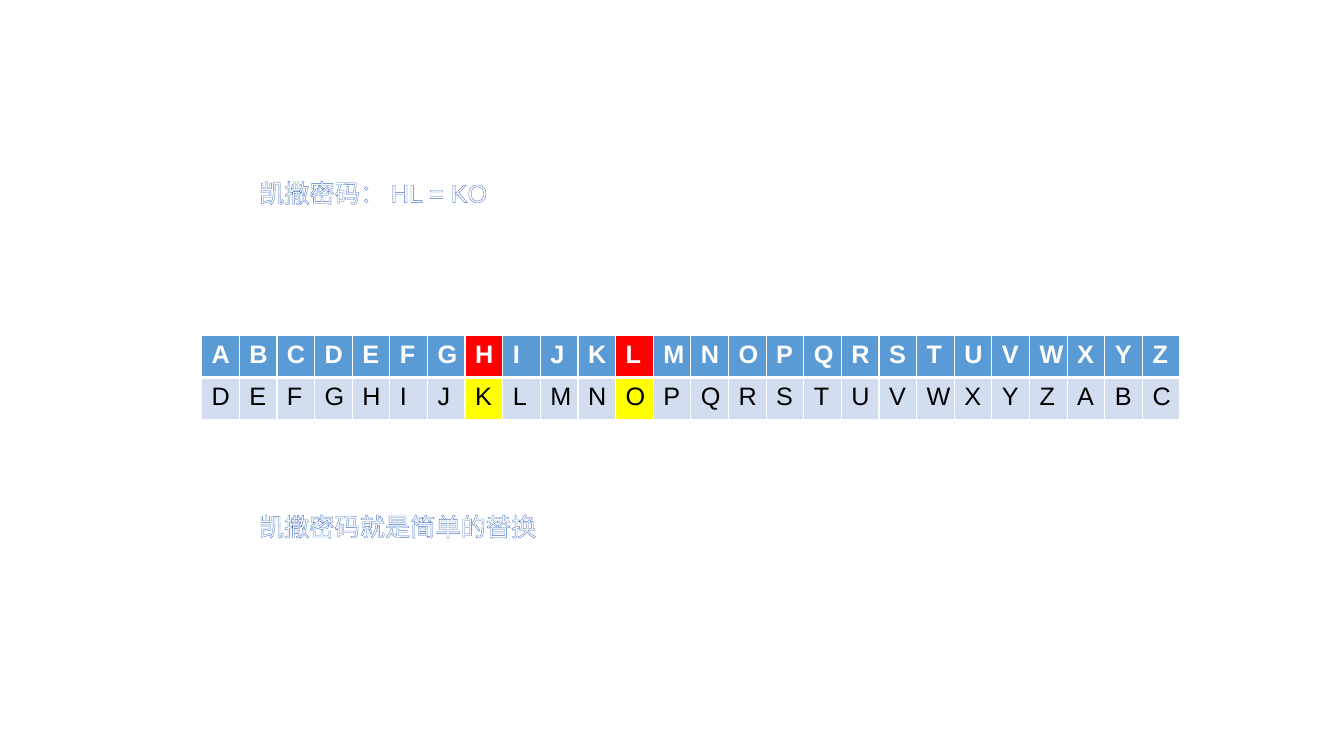
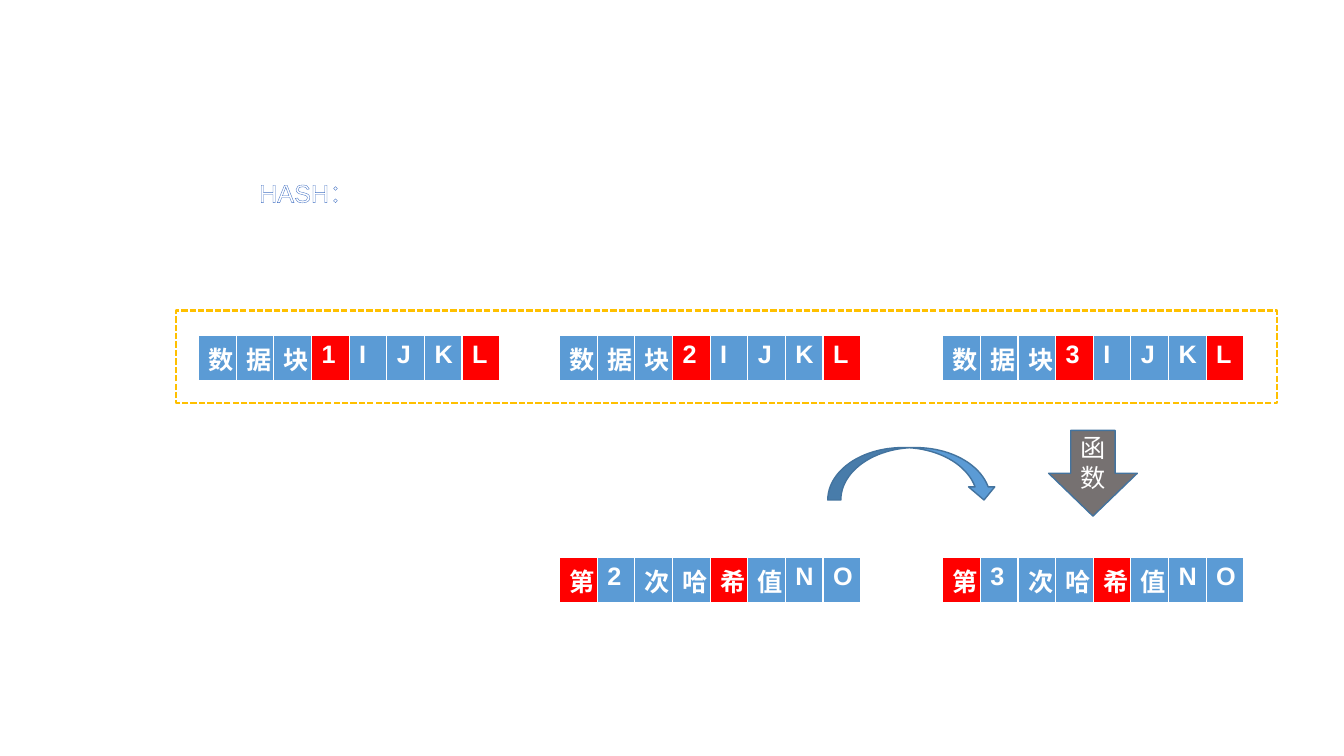
from lxml.etree import SubElement
from pptx import Presentation
from pptx.dml.color import RGBColor
from pptx.enum.dml import MSO_LINE
from pptx.enum.shapes import MSO_SHAPE
from pptx.enum.text import MSO_ANCHOR, MSO_AUTO_SIZE, PP_ALIGN
from pptx.oxml import parse_xml
from pptx.oxml.ns import nsdecls, qn
from pptx.util import Emu, Pt

WHITE = RGBColor(0xFF, 0xFF, 0xFF)
BLACK = RGBColor(0x00, 0x00, 0x00)
BLUE = RGBColor(0x5B, 0x9B, 0xD5)
PALE = RGBColor(0xD2, 0xDE, 0xEF)
RED = RGBColor(0xFF, 0x00, 0x00)
YELLOW = RGBColor(0xFF, 0xFF, 0x00)
GOLD = RGBColor(0xFF, 0xC0, 0x00)
GRAY = RGBColor(0x76, 0x71, 0x71)
EDGE = RGBColor(0x43, 0x73, 0x9E)
OUTLINE = RGBColor(0x44, 0x72, 0xC4)
FONT = "Arial"

ALPHABET = "ABCDEFGHIJKLMNOPQRSTUVWXYZ"
SHIFT = 3
SECRET = "HL"
CAESAR_TITLE = "凯撒密码： HL = KO"
CAESAR_NOTE = "凯撒密码就是简单的替换"
HASH_TITLE = "HASH："
FUNCTION = "函数"
BLOCK_TOP, HASH_TOP = 333, 553
STRIPS = [
    (197, BLOCK_TOP, "数据块1IJKL", (3, 7)),
    (555, BLOCK_TOP, "数据块2IJKL", (3, 7)),
    (555, HASH_TOP, "第2次哈希值NO", (0, 4)),
    (935, BLOCK_TOP, "数据块3IJKL", (3, 7)),
    (935, HASH_TOP, "第3次哈希值NO", (0, 4)),
]
TITLE_BOX = (247, 171, 432, 40)
NOTE_BOX = (247, 502, 295, 40)
FRAME_BOX = (175, 308, 1092, 92)
FUNCTION_BOX = (1040, 427, 88, 85)
CURVE_BOX = (821, 444, 168, 52)


def px(n):
    return Emu(n * 9144)


COL = px(971) // len(ALPHABET)
ROW = px(83) // 2


def write(tf, text, color=WHITE, bold=False, align=PP_ALIGN.LEFT, outline=None):
    p = tf.paragraphs[0]
    p.alignment = align
    r = p.add_run()
    r.text = text
    r.font.name, r.font.size, r.font.bold = FONT, Pt(18), bold
    r.font.color.rgb = color
    if outline:
        r._r.get_or_add_rPr().insert(0, parse_xml(
            f'<a:ln {nsdecls("a")} w="{Pt(0.8)}"><a:solidFill>'
            f'<a:srgbClr val="{outline}"/></a:solidFill></a:ln>'))


def outlined(sp, box, text):
    sp.left, sp.top, sp.width, sp.height = map(px, box)
    tf = sp.text_frame
    tf.word_wrap = True
    tf.auto_size = MSO_AUTO_SIZE.NONE
    tf.vertical_anchor = MSO_ANCHOR.TOP
    write(tf, text, outline=OUTLINE)


def add_slide(prs, title):
    s = prs.slides.add_slide(prs.slide_layouts[5])
    outlined(s.shapes.title, TITLE_BOX, title)
    return s


def set_borders(cell, top, bottom):
    tcPr = cell._tc.get_or_add_tcPr()
    for i, (side, width) in enumerate((("L", 1), ("R", 1), ("T", top), ("B", bottom))):
        ln = SubElement(tcPr, qn(f"a:ln{side}"), w=str(Pt(width)))
        fill = SubElement(ln, qn("a:solidFill"))
        SubElement(fill, qn("a:srgbClr"), val=str(WHITE))
        tcPr.insert(i, ln)


def add_letters(s, left, top, rows, marked):
    n = len(rows[0])
    table = s.shapes.add_table(len(rows), n, px(left), px(top), COL * n, ROW * len(rows)).table
    table.first_row = table.horz_banding = False
    for col in table.columns:
        col.width = Emu(COL)
    for i, letters in enumerate(rows):
        table.rows[i].height = Emu(ROW)
        head = i == 0
        base, mark = (BLUE, RED) if head else (PALE, YELLOW)
        for j, letter in enumerate(letters):
            cell = table.cell(i, j)
            cell.fill.solid()
            cell.fill.fore_color.rgb = mark if j in marked else base
            set_borders(cell, 1 if head else 3, 3 if head else 1)
            write(cell.text_frame, letter, color=WHITE if head else BLACK, bold=head)


def add_shape(s, kind, box, fill=None, line=EDGE, width=1):
    sp = s.shapes.add_shape(kind, *map(px, box))
    sp.shadow.inherit = False
    if fill is None:
        sp.fill.background()
    else:
        sp.fill.solid()
        sp.fill.fore_color.rgb = fill
    sp.line.color.rgb = line
    sp.line.width = Pt(width)
    return sp


def caesar_slide(prs):
    s = add_slide(prs, CAESAR_TITLE)
    outlined(s.shapes.add_textbox(0, 0, 0, 0), NOTE_BOX, CAESAR_NOTE)
    shifted = ALPHABET[SHIFT:] + ALPHABET[:SHIFT]
    add_letters(s, 200, BLOCK_TOP, [ALPHABET, shifted], [ALPHABET.index(c) for c in SECRET])


def hash_slide(prs):
    s = add_slide(prs, HASH_TITLE)
    frame = add_shape(s, MSO_SHAPE.RECTANGLE, FRAME_BOX, line=GOLD, width=1.5)
    frame.line.dash_style = MSO_LINE.SQUARE_DOT
    for left, top, letters, marked in STRIPS:
        add_letters(s, left, top, [letters], marked)
    arrow = add_shape(s, MSO_SHAPE.DOWN_ARROW, FUNCTION_BOX, fill=GRAY)
    arrow.text_frame.word_wrap = True
    arrow.text_frame.vertical_anchor = MSO_ANCHOR.MIDDLE
    write(arrow.text_frame, FUNCTION, align=PP_ALIGN.CENTER)
    add_shape(s, MSO_SHAPE.CURVED_DOWN_ARROW, CURVE_BOX, fill=BLUE)


def main():
    prs = Presentation()
    prs.slide_width, prs.slide_height = px(1333), px(750)
    caesar_slide(prs)
    hash_slide(prs)
    prs.save("out.pptx")


if __name__ == "__main__":
    main()
